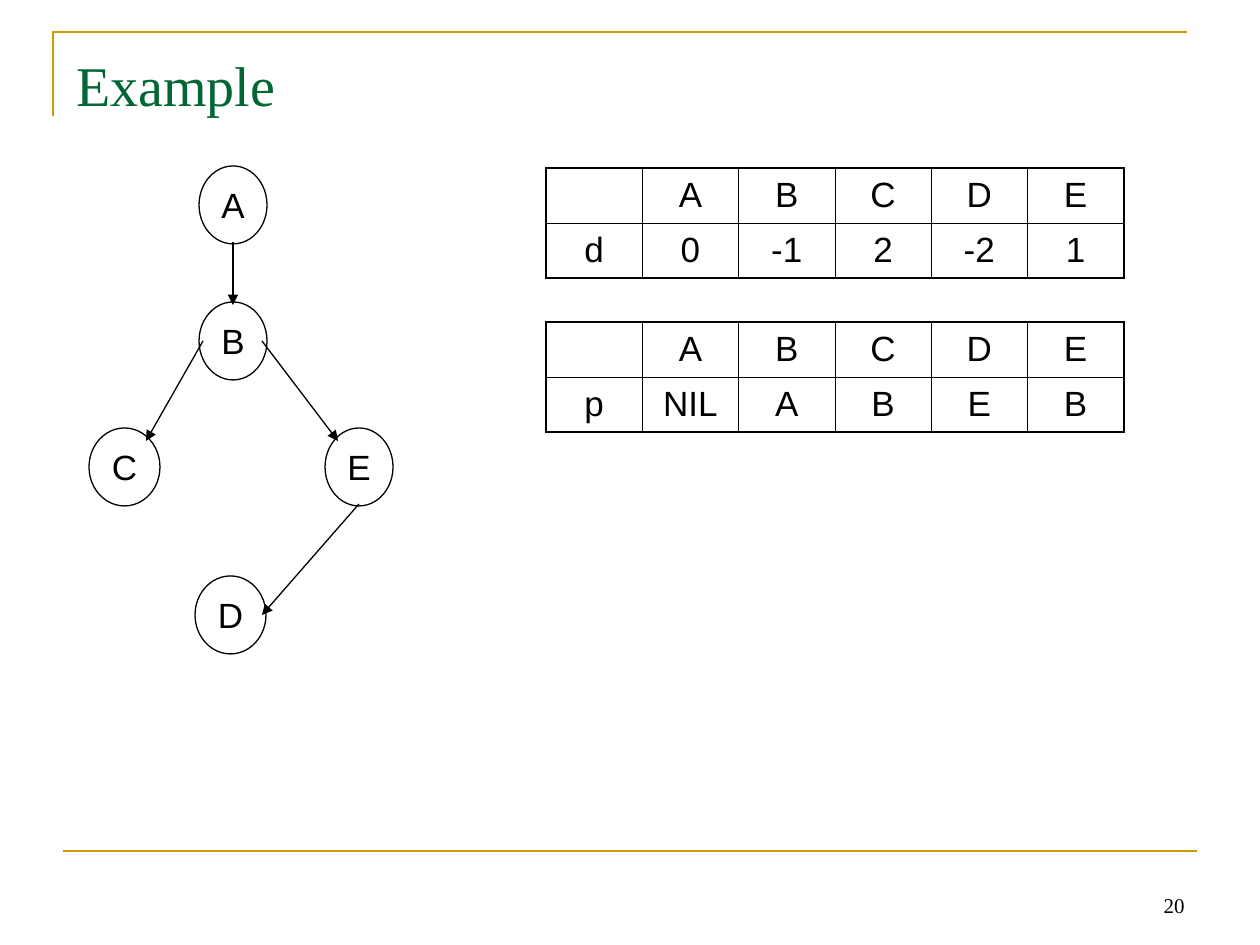
from dataclasses import dataclass

from lxml import etree
from pptx import Presentation
from pptx import util as u
from pptx.dml.color import RGBColor
from pptx.enum import shapes, text
from pptx.oxml import ns

SCALE = 914400 / 126


@dataclass(frozen=True)
class Theme:
    """Hold the colours, fonts, type sizes and line widths."""
    ink: str = "000000"
    gold: str = "CC9900"
    green: str = "006633"
    serif: str = "Times New Roman"
    sans: str = "Arial"
    head: int = 32
    body: int = 20
    foot: int = 12
    rule: float = 1.5
    edge: float = 0.75
    thick: float = 1.08
    thin: float = 0.45


T = Theme()


def px(*vals):
    """Turn pixel lengths into a list of EMU."""
    return [u.Emu(round(v * SCALE)) for v in vals]


def sub(node, tag, **attrs):
    """Add a child element to an XML node."""
    return etree.SubElement(node, ns.qn(tag), attrs)


def write(frame, words, size, face, color, align):
    """Write one styled paragraph into a text frame."""
    frame.text = words
    para = frame.paragraphs[0]
    para.alignment = align
    font = para.font
    font.size, font.name = u.Pt(size), face
    font.color.rgb = RGBColor.from_string(color)


def stroke(shape, color, width):
    """Set the outline of a shape or connector."""
    shape.line.color.rgb = RGBColor.from_string(color)
    shape.line.width = u.Pt(width)


def draw_line(slide, ends, color, width, arrow=False):
    """Draw a straight line, with an arrowhead if asked."""
    line = slide.shapes.add_connector(shapes.MSO_CONNECTOR.STRAIGHT, *px(*ends))
    stroke(line, color, width)
    if arrow:
        sub(line.line._get_or_add_ln(), "a:tailEnd", type="triangle")
    sub(line._element.spPr, "a:effectLst")


def add_label(slide, box, words, size, color, align, anchor, top=6):
    """Add a serif text box."""
    frame = slide.shapes.add_textbox(*px(*box)).text_frame
    frame.word_wrap = True
    frame.vertical_anchor = anchor
    frame.margin_top = px(top)[0]
    write(frame, words, size, T.serif, color, align)


def add_header(slide, box, title):
    """Draw the corner rule and the title."""
    x, y, w, h = box
    (left, low), (_, top), (right, _) = [
        px(*p) for p in ((x, y + h), (x, y), (x + w, y))]
    pen = slide.shapes.build_freeform(left, low)
    pen.add_line_segments([(left, top), (right, top)], close=False)
    rule = pen.convert_to_shape()
    rule.shadow.inherit = False
    rule.fill.background()
    stroke(rule, T.gold, T.rule)
    add_label(slide, (x + 11, y + 6, w, 158), title, T.head, T.green,
              text.PP_ALIGN.LEFT, text.MSO_ANCHOR.TOP, 12)


def add_footer(slide, box, number):
    """Draw the bottom rule and the slide number."""
    x, y, w, h = box
    draw_line(slide, (x, y, x + w, y), T.gold, T.rule)
    add_label(slide, (x + w - 294, y + h - 63, 294, 63), number, T.foot, T.ink,
              text.PP_ALIGN.RIGHT, text.MSO_ANCHOR.BOTTOM)


def add_tree(slide, box, nodes, edges):
    """Draw the tree nodes and the arrows between them."""
    x, y = box
    for name, dx, dy, w in nodes:
        node = slide.shapes.add_shape(
            shapes.MSO_SHAPE.OVAL, *px(x + dx, y + dy, w, 78))
        node.shadow.inherit = False
        node.fill.background()
        stroke(node, T.ink, T.edge)
        frame = node.text_frame
        frame.word_wrap = False
        frame.vertical_anchor = text.MSO_ANCHOR.MIDDLE
        write(frame, name, T.body, T.sans, T.ink, text.PP_ALIGN.CENTER)
    for x1, y1, x2, y2 in edges:
        draw_line(slide, (x + x1, y + y1, x + x2, y + y2), T.ink, T.edge, True)


def set_borders(cell, outer):
    """Border a cell, thick on the sides flagged as outer."""
    props = cell._tc.get_or_add_tcPr()
    for side, thick in outer.items():
        width = u.Pt(T.thick if thick else T.thin)
        line = sub(props, f"a:ln{side}", w=str(width))
        sub(sub(line, "a:solidFill"), "a:srgbClr", val=T.ink)


def add_grid(slide, box, rows):
    """Add a table with equal cells and a thick outer frame."""
    high, wide = len(rows), len(rows[0])
    table = slide.shapes.add_table(high, wide, *px(*box)).table
    table.first_row = table.horz_banding = False
    for r, row in enumerate(rows):
        for c, words in enumerate(row):
            cell = table.cell(r, c)
            set_borders(cell, {"L": c == 0, "R": c == wide - 1,
                               "T": r == 0, "B": r == high - 1})
            cell.fill.background()
            cell.vertical_anchor = text.MSO_ANCHOR.MIDDLE
            write(cell.text_frame, words, T.body, T.sans, T.ink,
                  text.PP_ALIGN.CENTER)


def main():
    """Build the slide and save it."""
    deck = Presentation()
    deck.slide_width, deck.slide_height = px(1260, 945)
    slide = deck.slides.add_slide(deck.slide_layouts[6])
    add_header(slide, (53, 32, 1134, 84), "Example")
    add_footer(slide, (63, 851, 1134, 73), "20")
    nodes = [("A", 110, 0, 68), ("B", 110, 136, 68), ("C", 0, 262, 71),
             ("E", 236, 262, 68), ("D", 106, 410, 71)]
    edges = [(144, 76, 144, 139), (114, 175, 57, 275),
             (173, 175, 249, 275), (270, 338, 173, 449)]
    add_tree(slide, (89, 166), nodes, edges)
    names = ["", *"ABCDE"]
    values = [["d", "0", "-1", "2", "-2", "1"],
              ["p", "NIL", "A", "B", "E", "B"]]
    for i, row in enumerate(values):
        add_grid(slide, (546, 168 + 154 * i, 578, 110), [names, row])
    deck.save("out.pptx")


if __name__ == "__main__":
    main()
